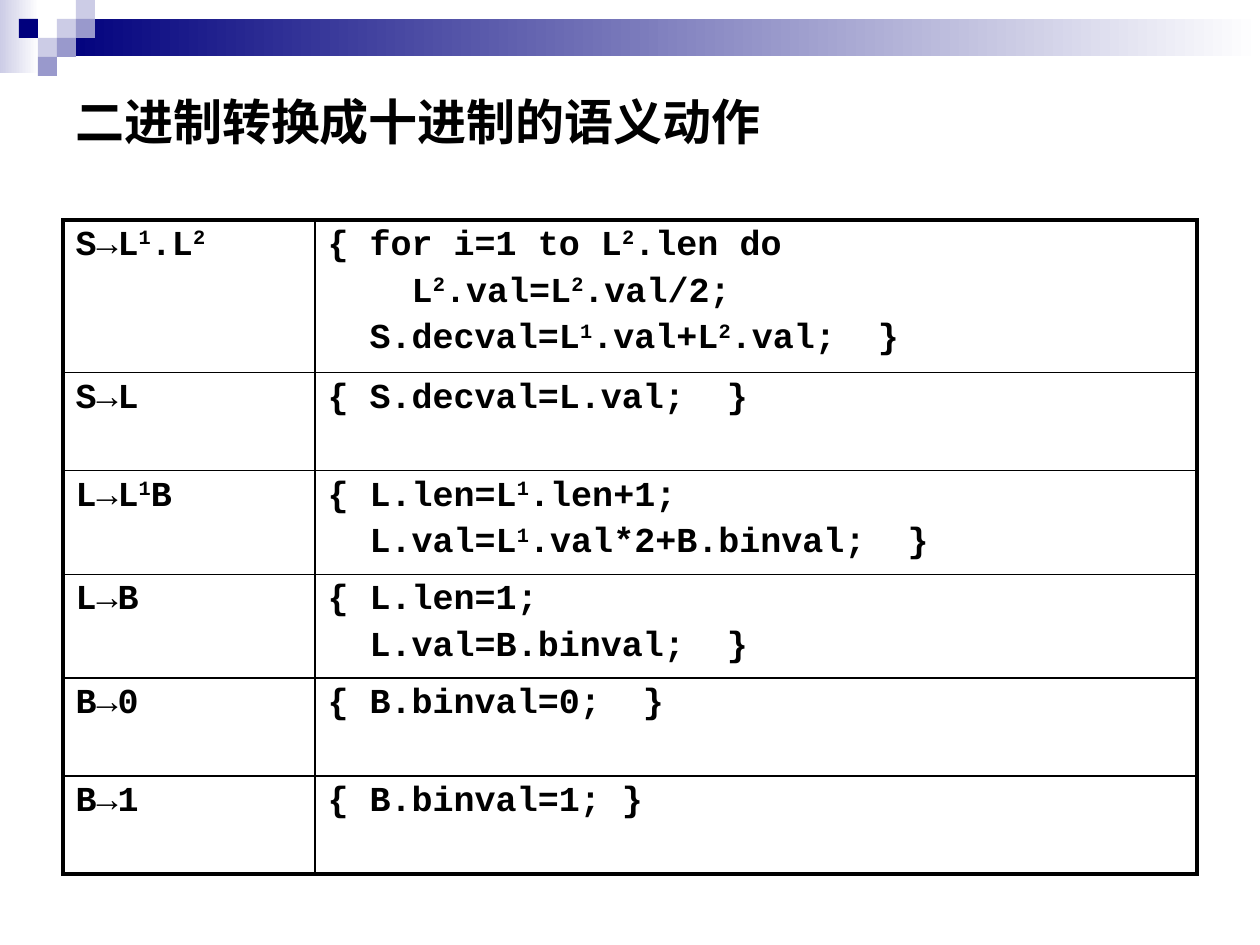
import pptx
import pptx.dml.color
import pptx.enum.shapes
import pptx.enum.text
import pptx.oxml.ns
import pptx.util
from lxml import etree

PX = 914400 / 126  # EMU per pixel


def px(*nums):
    return [pptx.util.Emu(round(n * PX)) for n in nums]


def paint(color, text):
    color.rgb = pptx.dml.color.RGBColor.from_string(text)


deck = pptx.Presentation()
deck.slide_width, deck.slide_height = px(1260, 945)
slide = deck.slides.add_slide(deck.slide_layouts[6])
RECT = pptx.enum.shapes.MSO_SHAPE.RECTANGLE

# Fading bars at the top
for box, start in [((0, 0, 39, 73), "CCCCE6"), ((57, 19, 1203, 37), "00007D")]:
    bar = slide.shapes.add_shape(RECT, *px(*box))
    bar.shadow.inherit = False
    bar.line.fill.background()
    bar.fill.gradient()
    bar.fill.gradient_angle = 0
    for stop, color in zip(bar.fill.gradient_stops, (start, "FFFFFF")):
        paint(stop.color, color)

# Checker squares, placed by column and row
SIDE = 19
squares = [
    (3, 1, "CCCCE6"), (4, 0, "CCCCE6"), (4, 1, "9999CC"), (2, 2, "CCCCE6"),
    (1, 1, "00007D"), (3, 2, "9999CC"), (2, 3, "9999CC"),
]
for col, row, color in squares:
    square = slide.shapes.add_shape(RECT, *px(col * SIDE, row * SIDE, SIDE, SIDE))
    square.shadow.inherit = False
    square.line.fill.background()
    square.fill.solid()
    paint(square.fill.fore_color, color)

# Title
title = slide.shapes.add_textbox(*px(63, 63, 1134, 116))
frame = title.text_frame
frame.word_wrap = True
frame.vertical_anchor = pptx.enum.text.MSO_ANCHOR.MIDDLE
run = frame.paragraphs[0].add_run()
run.text = "二进制转换成十进制的语义动作"
run.font.name = "Arial"
run.font.size = pptx.util.Pt(28)
run.font.bold = True
paint(run.font.color, "000000")

# Rules and their actions; ^ raises the digit after it
rules = [
    ("S→L^1.L^2", ["{ for i=1 to L^2.len do", "    L^2.val=L^2.val/2;",
                   "  S.decval=L^1.val+L^2.val;  }"]),
    ("S→L", ["{ S.decval=L.val;  }"]),
    ("L→L^1B", ["{ L.len=L^1.len+1;", "  L.val=L^1.val*2+B.binval;  }"]),
    ("L→B", ["{ L.len=1;", "  L.val=B.binval;  }"]),
    ("B→0", ["{ B.binval=0;  }"]),
    ("B→1", ["{ B.binval=1; }"]),
]
heights = [146, 98, 99, 99, 98, 98]
last = len(rules) - 1
table = slide.shapes.add_table(len(rules), 2, *px(63, 220, 1134, sum(heights))).table
table.first_row = table.horz_banding = False
table.columns[0].width, table.columns[1].width = px(252, 882)

for r, (rule, action) in enumerate(rules):
    table.rows[r].height = px(heights[r])[0]
    for c, lines in enumerate([[rule], action]):
        cell = table.cell(r, c)
        props = cell._tc.get_or_add_tcPr()
        outer = {"lnL": c == 0, "lnR": c == 1, "lnT": r == 0, "lnB": r == last}
        for tag, thick in outer.items():
            width = pptx.util.Pt(2.25 if thick else 1)
            line = etree.SubElement(props, pptx.oxml.ns.qn("a:" + tag), w=str(width))
            fill = etree.SubElement(line, pptx.oxml.ns.qn("a:solidFill"))
            etree.SubElement(fill, pptx.oxml.ns.qn("a:srgbClr"), val="000000")
        cell.fill.background()
        for i, text in enumerate(lines):
            frame = cell.text_frame
            para = frame.add_paragraph() if i else frame.paragraphs[0]
            if i:
                para.space_before = pptx.util.Pt(4)
            head, *tails = text.split("^")
            parts = [(head, False)]
            for tail in tails:
                parts += [(tail[0], True), (tail[1:], False)]
            for part, raised in parts:
                if not part:
                    continue
                run = para.add_run()
                run.text = part
                run.font.name = "Courier New"
                run.font.size = pptx.util.Pt(20)
                run.font.bold = True
                paint(run.font.color, "000000")
                if raised:
                    run.font._element.set("baseline", "30000")

deck.save("out.pptx")
